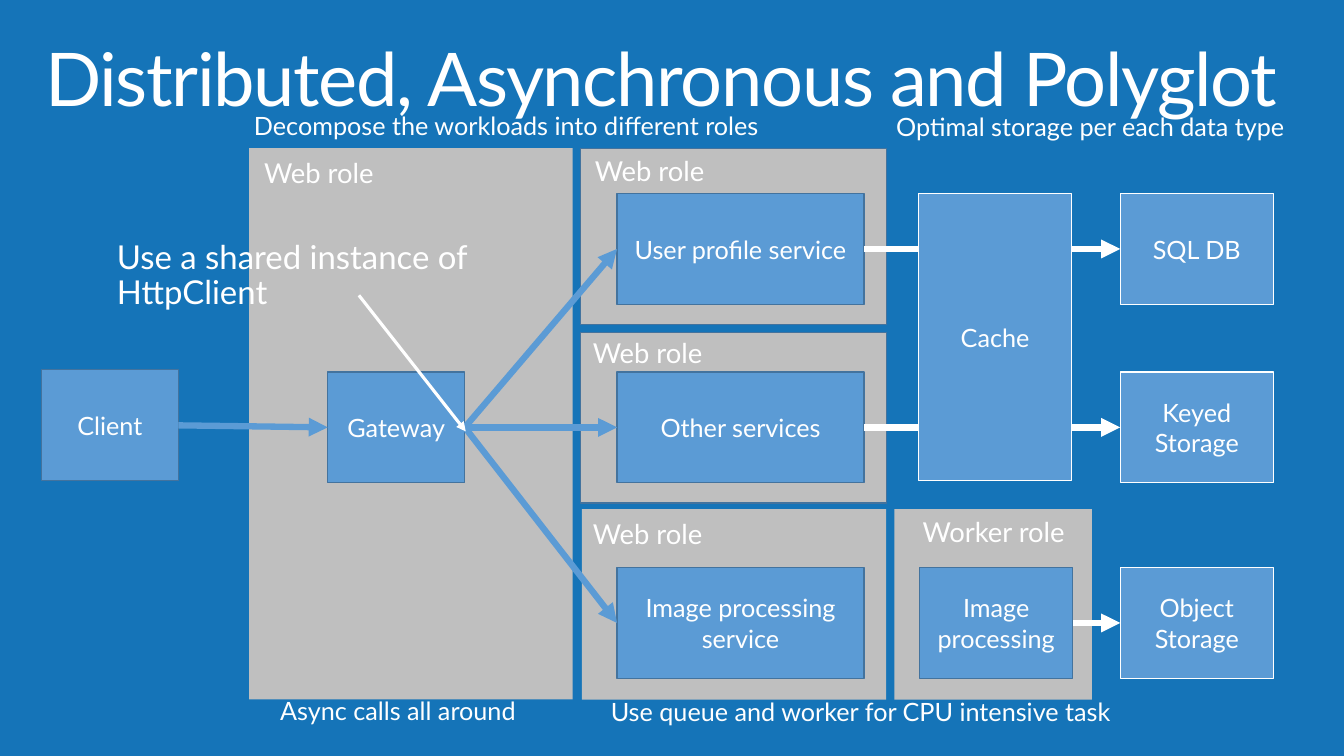
"""Build the slide on a distributed, asynchronous and polyglot architecture."""
from lxml import etree
from pptx import Presentation
from pptx.dml.color import RGBColor
from pptx.enum.shapes import MSO_CONNECTOR, MSO_SHAPE
from pptx.enum.text import MSO_ANCHOR, MSO_AUTO_SIZE, PP_ALIGN
from pptx.oxml.ns import qn
from pptx.util import Inches, Pt

RECTANGLE = MSO_SHAPE.RECTANGLE
STRAIGHT = MSO_CONNECTOR.STRAIGHT
TOP, MIDDLE = MSO_ANCHOR.TOP, MSO_ANCHOR.MIDDLE
GROW, FIXED = MSO_AUTO_SIZE.SHAPE_TO_FIT_TEXT, MSO_AUTO_SIZE.NONE
LEFT, CENTER = PP_ALIGN.LEFT, PP_ALIGN.CENTER

BACKGROUND = RGBColor(0x15, 0x74, 0xB8)
GRAY = RGBColor(0xBF, 0xBF, 0xBF)
BLUE = RGBColor(0x5B, 0x9B, 0xD5)
DARK_BLUE = RGBColor(0x43, 0x73, 0x9E)
WHITE = RGBColor(0xFF, 0xFF, 0xFF)

FONT = "Lato"
ROW_TOPS = (1.92, 3.69, 5.63)
BOX_HEIGHT = 1.1
SERVICE_LEFT, SERVICE_WIDTH = 6.12, 2.45
STORE_LEFT, STORE_WIDTH = 11.11, 1.52
WORKER_LEFT = 9.12
CLIENT_WIDTH = 1.36

ROLE_PANELS = (
    (5.76, 3.3, 3.03, 1.69, DARK_BLUE),
    (8.87, 5.05, 1.96, 1.89, None),
    (5.77, 5.05, 3.02, 1.89, None),
    (2.47, 1.47, 3.21, 5.47, None),
    (5.76, 1.47, 3.03, 1.75, DARK_BLUE),
)
ROLE_LABELS = (
    ("Worker role", 8.95, 5),
    ("Web role", 5.68, 5.02),
    ("Web role", 2.42, 1.44),
    ("Web role", 5.7, 1.42),
    ("Web role", 5.68, 3.22),
)
CAPTIONS = (
    ("Decompose the workloads into different roles", 2.42, 1.05, 5.85),
    ("Use queue and worker for CPU intensive task", 5.96, 6.86, 5.85),
    ("Optimal storage per each data type", 8.79, 1.06, 4.17),
    ("Async calls all around", 2.68, 6.85, 2.8),
)
SERVICES = ("User profile service", "Other services", "Image processing\nservice")
STORES = ("SQL DB", "Keyed Storage", "Object\vStorage")


def apply(target, values):
    """Set each named attribute of the target."""
    for name, value in values.items():
        setattr(target, name, value)


def write(shape, text, size, frame_format, para_format):
    """Fill a shape with white text in the given formats."""
    frame = shape.text_frame
    frame.text = text
    apply(frame, {"word_wrap": True, **frame_format})
    for para in frame.paragraphs:
        apply(para, para_format)
        for span in para.runs:
            apply(span.font, {"size": Pt(size), "name": FONT})
            span.font.color.rgb = WHITE


def margins(side, end):
    """Return the inner margins of a text frame."""
    return {
        "margin_left": Inches(side), "margin_right": Inches(side),
        "margin_top": Inches(end), "margin_bottom": Inches(end),
    }


def add_box(page, left, top, width, height, fill, outline, text=""):
    """Add a filled rectangle, with centred text if any."""
    box = page.shapes.add_shape(
        RECTANGLE, Inches(left), Inches(top), Inches(width), Inches(height))
    box.shadow.inherit = False
    box.fill.solid()
    box.fill.fore_color.rgb = fill
    if outline is None:
        box.line.fill.background()
    else:
        box.line.color.rgb = outline
        box.line.width = Pt(0.85)
    if text:
        write(box, text, 18, {"vertical_anchor": MIDDLE}, {"alignment": CENTER})
    return box


def add_caption(page, text, left, top, width):
    """Add a one-line caption."""
    box = page.shapes.add_textbox(
        Inches(left), Inches(top), Inches(width), Inches(0.4))
    write(box, text, 18, {"auto_size": GROW}, {"alignment": LEFT})


def add_label(page, text, left, top, width=2.21, height=0.61, size=19.6):
    """Add a label with wide margins and tight lines."""
    box = page.shapes.add_textbox(
        Inches(left), Inches(top), Inches(width), Inches(height))
    write(box, text, size, {"auto_size": GROW, **margins(0.2, 0.16)},
          {"line_spacing": 0.9, "space_after": Pt(5.9)})


def add_arrow(page, color, width, start=(0, 0), end=(0, 0)):
    """Add a straight arrow between two points."""
    arrow = page.shapes.add_connector(
        STRAIGHT, *(Inches(value) for value in (*start, *end)))
    arrow.line.color.rgb = color
    arrow.line.width = Pt(width)
    properties = arrow._element.spPr
    etree.SubElement(properties.find(qn("a:ln")), qn("a:tailEnd"), type="triangle")
    etree.SubElement(properties, qn("a:effectLst"))
    return arrow


def join(page, source, target, color):
    """Join the right side of one box to the left side of another."""
    arrow = add_arrow(page, color, 4.5)
    arrow.begin_connect(source, 3)
    arrow.end_connect(target, 1)


def add_title(page):
    """Place and format the title."""
    title = page.shapes.title
    apply(title, {"left": Inches(0.29), "top": Inches(0.32),
                  "width": Inches(12.62), "height": Inches(0.98)})
    write(title, "Distributed, Asynchronous and Polyglot", 52.9,
          {"vertical_anchor": TOP, "auto_size": FIXED, **margins(0.16, 0.1)},
          {"alignment": LEFT, "line_spacing": 0.9})
    for span in title.text_frame.paragraphs[0].runs:
        span._r.get_or_add_rPr().set("spc", "-100")


def add_column(page, texts, left, width, outline):
    """Add one box per row and return the boxes."""
    return [add_box(page, left, top, width, BOX_HEIGHT, BLUE, outline, text)
            for text, top in zip(texts, ROW_TOPS)]


def add_diagram(page):
    """Add the boxes and the arrows that join them."""
    for left, top, width, height, outline in ROLE_PANELS:
        add_box(page, left, top, width, height, GRAY, outline)
    client = add_box(page, 0.41, 3.67, CLIENT_WIDTH, BOX_HEIGHT, BLUE, DARK_BLUE, "Client")
    gateway = add_box(page, 3.25, ROW_TOPS[1], CLIENT_WIDTH, BOX_HEIGHT,
                      BLUE, DARK_BLUE, "Gateway")
    services = add_column(page, SERVICES, SERVICE_LEFT, SERVICE_WIDTH, DARK_BLUE)
    stores = add_column(page, STORES, STORE_LEFT, STORE_WIDTH, WHITE)
    worker = add_box(page, WORKER_LEFT, ROW_TOPS[2], STORE_WIDTH, BOX_HEIGHT,
                     BLUE, DARK_BLUE, "Image processing")
    join(page, client, gateway, BLUE)
    for service in services:
        join(page, gateway, service, BLUE)
    for source, store in zip((*services[:2], worker), stores):
        join(page, source, store, WHITE)
    add_box(page, 9.11, ROW_TOPS[0], STORE_WIDTH, 2.85, BLUE, WHITE, "Cache")


def main():
    """Build and save the deck."""
    deck = Presentation()
    apply(deck, {"slide_width": Inches(13.33), "slide_height": Inches(7.5)})
    page = deck.slides.add_slide(deck.slide_layouts[5])
    page.background.fill.solid()
    page.background.fill.fore_color.rgb = BACKGROUND
    add_title(page)
    add_diagram(page)
    for text, left, top in ROLE_LABELS:
        add_label(page, text, left, top)
    for caption in CAPTIONS:
        add_caption(page, *caption)
    add_label(page, "Use a shared instance of HttpClient", 0.96, 2.23, 4.37, 1.03, 23.5)
    add_arrow(page, WHITE, 2.25, (3.56, 2.93), (4.62, 4.28))
    deck.save("out.pptx")


if __name__ == "__main__":
    main()
